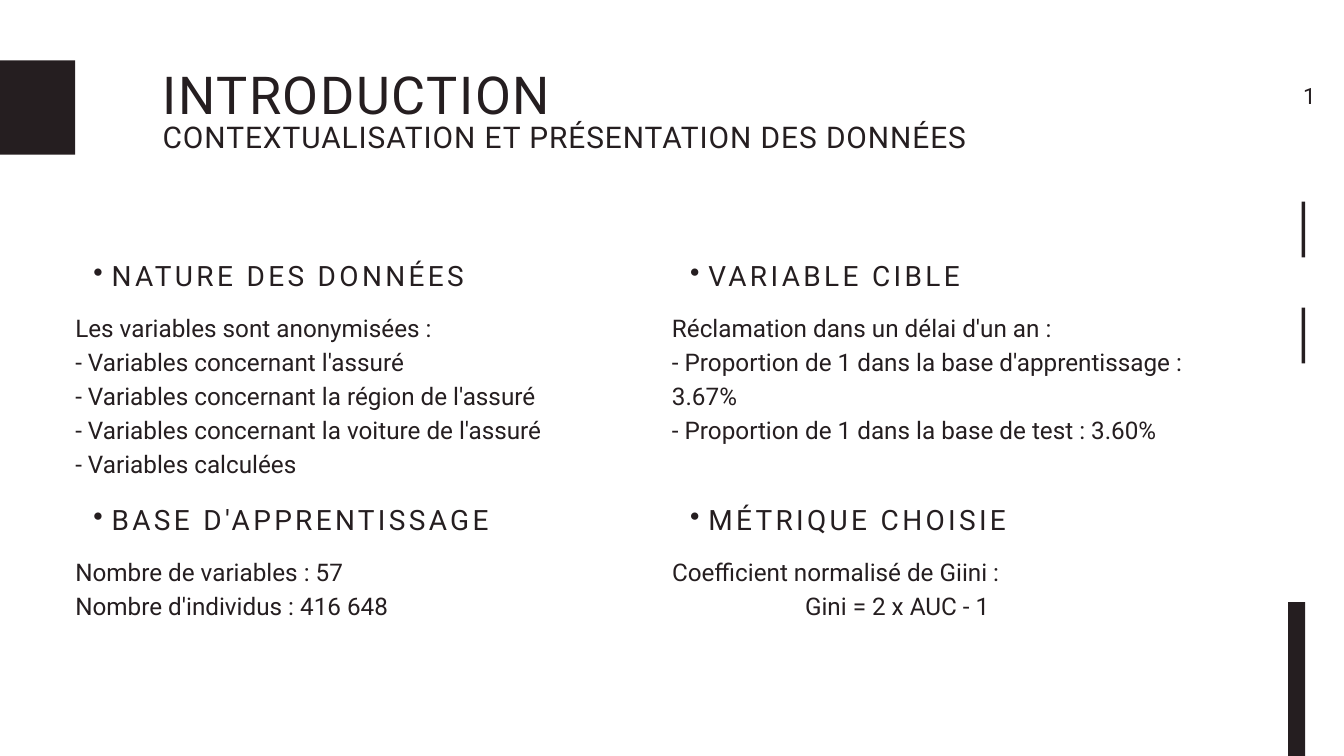
from dataclasses import dataclass

from lxml import etree
from pptx import Presentation
from pptx.dml.color import RGBColor
from pptx.enum.shapes import MSO_SHAPE
from pptx.enum.text import MSO_ANCHOR, MSO_AUTO_SIZE, PP_ALIGN
from pptx.oxml.ns import qn
from pptx.util import Inches, Pt

RECTANGLE = MSO_SHAPE.RECTANGLE
TOP = MSO_ANCHOR.TOP
NO_AUTOFIT = MSO_AUTO_SIZE.NONE
LEFT, RIGHT = PP_ALIGN.LEFT, PP_ALIGN.RIGHT

COLORS = {"ink": "251E20", "background": "FFFFFF"}
FONT = "Roboto"


@dataclass(frozen=True)
class Box:
    left: float
    top: float
    width: float
    height: float


@dataclass(frozen=True)
class TextStyle:
    size: float
    line_height: float
    letter_spacing: float = 0
    align: PP_ALIGN = LEFT
    bullet: bool = False


@dataclass(frozen=True)
class Line:
    text: str
    indent: float = 0


@dataclass(frozen=True)
class Section:
    left: float
    top: float
    width: float
    heading: str
    lines: tuple[Line, ...]


TITLE = TextStyle(56, 79.5, 1.7)
SUBTITLE = TextStyle(32, 45.4, 1)
HEADING = TextStyle(30, 42, 3.6, bullet=True)
BODY = TextStyle(26, 36.4)
PAGE_NUMBER = TextStyle(24, 33.6, align=RIGHT)

COLUMNS = (1.12, 10)
ROWS = (3.77, 7.4)
BODY_OFFSET = 0.82

SECTIONS = (
    Section(COLUMNS[0], ROWS[0], 7.48, "NATURE DES DONNÉES", (
        Line("Les variables sont anonymisées :"),
        Line("- Variables concernant l'assuré"),
        Line("- Variables concernant la région de l'assuré"),
        Line("- Variables concernant la voiture de l'assuré"),
        Line("- Variables calculées"),
    )),
    Section(COLUMNS[0], ROWS[1], 7.48, "BASE D'APPRENTISSAGE", (
        Line("Nombre de variables : 57"),
        Line("Nombre d'individus : 416 648"),
    )),
    Section(COLUMNS[1], ROWS[0], 7.7, "VARIABLE CIBLE", (
        Line("Réclamation dans un délai d'un an :"),
        Line("- Proportion de 1 dans la base d'apprentissage : 3.67%"),
        Line("- Proportion de 1 dans la base de test : 3.60%"),
    )),
    Section(COLUMNS[1], ROWS[1], 7.48, "MÉTRIQUE CHOISIE", (
        Line("Coefficient normalisé de Giini :"),
        Line("Gini = 2 x AUC - 1", indent=1.98),
    )),
)

ACCENTS = (
    Box(-1.17, 0.9, 2.29, 1.4),    # block beside the title
    Box(19.37, 3, 0.05, 0.83),     # upper dash
    Box(19.37, 4.58, 0.05, 0.83),  # lower dash
    Box(19.17, 8.96, 0.25, 4.58),  # bar running off the bottom edge
)


def set_indent(paragraph, left: float, first_line: float = 0) -> None:
    properties = paragraph._p.get_or_add_pPr()
    properties.set("marL", str(Inches(left)))
    properties.set("indent", str(Inches(first_line)))


def fill_text(shape, lines: tuple[Line, ...], style: TextStyle) -> None:
    frame = shape.text_frame
    frame.margin_left = frame.margin_right = 0
    frame.margin_top = frame.margin_bottom = 0
    frame.word_wrap = True
    frame.auto_size = NO_AUTOFIT
    frame.vertical_anchor = TOP
    for index, line in enumerate(lines):
        paragraph = frame.add_paragraph() if index else frame.paragraphs[0]
        paragraph.alignment = style.align
        paragraph.line_spacing = Pt(style.line_height)
        if style.bullet:
            set_indent(paragraph, 0.54, -0.27)
            bullet = etree.SubElement(paragraph._p.get_or_add_pPr(), qn("a:buChar"))
            bullet.set("char", "•")
        elif line.indent:
            set_indent(paragraph, line.indent)
        run = paragraph.add_run()
        run.text = line.text
        run.font.name = FONT
        run.font.size = Pt(style.size)
        run.font.color.rgb = RGBColor.from_string(COLORS["ink"])
        if style.letter_spacing:
            run._r.get_or_add_rPr().set("spc", str(round(style.letter_spacing * 100)))


def add_text(slide, box: Box, lines: tuple[Line, ...], style: TextStyle) -> None:
    shape = slide.shapes.add_textbox(
        Inches(box.left), Inches(box.top), Inches(box.width), Inches(box.height))
    fill_text(shape, lines, style)


def add_accent(slide, box: Box) -> None:
    shape = slide.shapes.add_shape(
        RECTANGLE, Inches(box.left), Inches(box.top), Inches(box.width), Inches(box.height))
    shape.shadow.inherit = False
    shape.fill.solid()
    shape.fill.fore_color.rgb = RGBColor.from_string(COLORS["ink"])
    shape.line.fill.background()


def add_section(slide, section: Section) -> None:
    heading_box = Box(section.left, section.top, section.width, 0.56)
    body_height = len(section.lines) * BODY.line_height / 72
    body_box = Box(section.left, section.top + BODY_OFFSET, section.width, body_height)
    add_text(slide, heading_box, (Line(section.heading),), HEADING)
    add_text(slide, body_box, section.lines, BODY)


def main() -> None:
    presentation = Presentation()
    presentation.slide_width = Inches(20)
    presentation.slide_height = Inches(11.25)
    slide = presentation.slides.add_slide(presentation.slide_layouts[5])
    slide.background.fill.solid()
    slide.background.fill.fore_color.rgb = RGBColor.from_string(COLORS["background"])

    # Title and subtitle
    title = slide.shapes.title
    title.left, title.top = Inches(2.42), Inches(0.76)
    title.width, title.height = Inches(14.42), Inches(1.08)
    fill_text(title, (Line("INTRODUCTION"),), TITLE)
    subtitle = Line("CONTEXTUALISATION ET PRÉSENTATION DES DONNÉES")
    add_text(slide, Box(2.42, 1.67, 14.42, 0.63), (subtitle,), SUBTITLE)

    # Four content sections
    for section in SECTIONS:
        add_section(slide, section)

    # Edge decoration and page number
    for accent in ACCENTS:
        add_accent(slide, accent)
    add_text(slide, Box(19.02, 1.15, 0.56, 0.45), (Line("1"),), PAGE_NUMBER)

    presentation.save("out.pptx")


if __name__ == "__main__":
    main()
